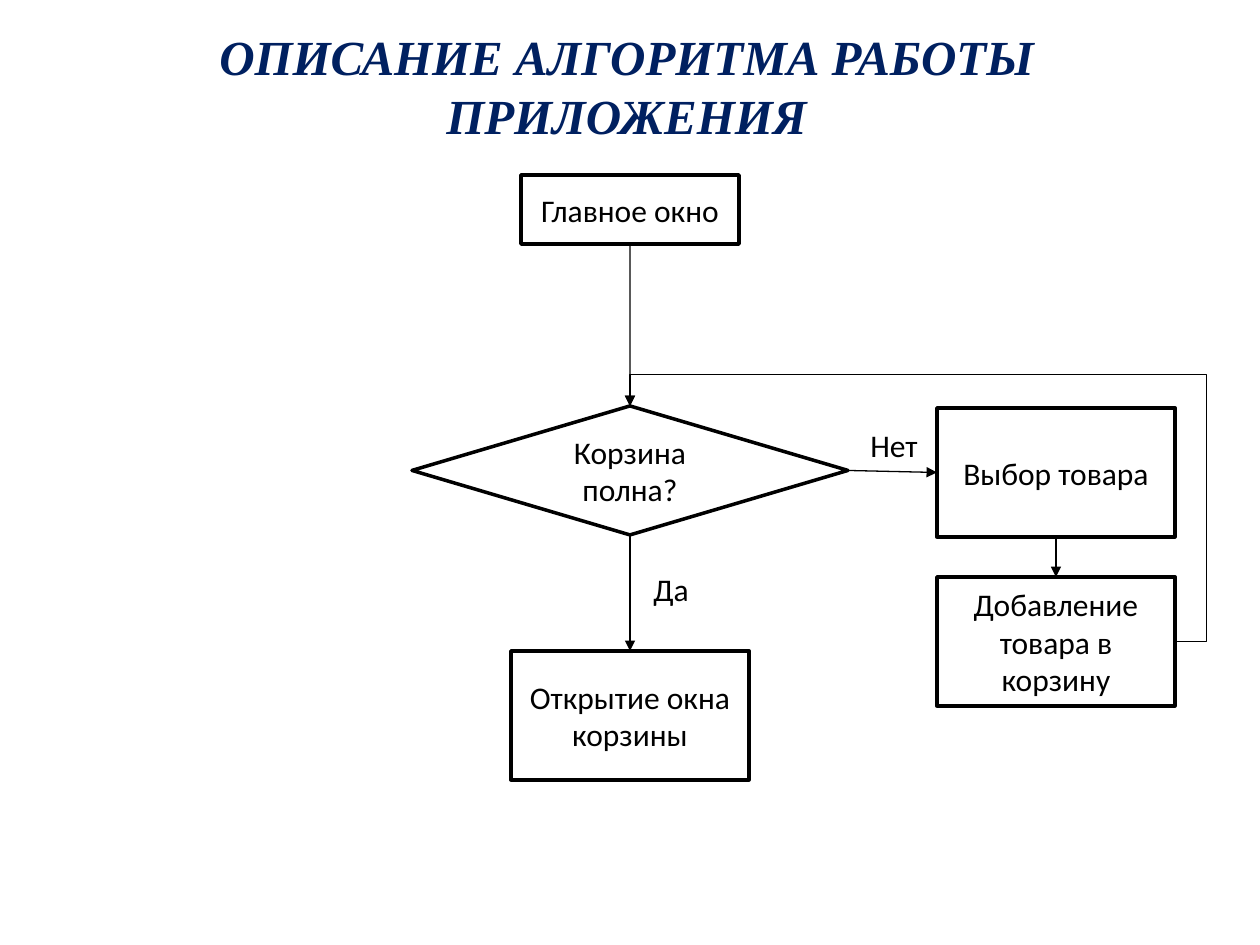
from lxml import etree
from pptx import Presentation
from pptx import util as u
from pptx.dml.color import RGBColor
from pptx.enum import shapes, text
from pptx.oxml.ns import qn

SCALE = 914400 / 126
COLORS = {"title": "002060", "ink": "000000", "paper": "FFFFFF"}


def px(*lengths):
    return [u.Emu(round(length * SCALE)) for length in lengths]


def write(frame, words, color="ink", size=18, font="Calibri", align=text.PP_ALIGN.CENTER):
    para = frame.paragraphs[0]
    para.alignment = align
    span = para.add_run()
    span.text = words
    span.font.size = u.Pt(size)
    span.font.name = font
    span.font.color.rgb = RGBColor.from_string(COLORS[color])
    return span


deck = Presentation()
deck.slide_width, deck.slide_height = px(1260, 945)
page = deck.slides.add_slide(deck.slide_layouts[5])

title = page.shapes.title
title.left, title.top, title.width, title.height = px(35, 16, 1183, 139)
title.text_frame.vertical_anchor = text.MSO_ANCHOR.MIDDLE
span = write(title.text_frame, "ОПИСАНИЕ АЛГОРИТМА РАБОТЫ ПРИЛОЖЕНИЯ", "title", 28, "Times New Roman")
span.font.bold = True
span.font.italic = True

RECT = shapes.MSO_SHAPE.RECTANGLE
DIAMOND = shapes.MSO_SHAPE.DIAMOND
steps = [
    ("main", RECT, 630, 175, 218, 69, "Главное окно"),
    ("full", DIAMOND, 630, 406, 436, 129, "Корзина полна?"),
    ("choose", RECT, 1056, 408, 238, 129, "Выбор товара"),
    ("add", RECT, 1056, 577, 238, 129, "Добавление товара в корзину"),
    ("open", RECT, 630, 651, 238, 129, "Открытие окна корзины"),
]
boxes = {}
for name, kind, center, top, width, height, words in steps:
    box = page.shapes.add_shape(kind, *px(center - width / 2, top, width, height))
    box.shadow.inherit = False
    box.fill.solid()
    box.fill.fore_color.rgb = RGBColor.from_string(COLORS["paper"])
    box.line.color.rgb = RGBColor.from_string(COLORS["ink"])
    box.line.width = u.Pt(2)
    box.text_frame.word_wrap = True
    box.text_frame.vertical_anchor = text.MSO_ANCHOR.MIDDLE
    write(box.text_frame, words)
    boxes[name] = box

STRAIGHT = shapes.MSO_CONNECTOR.STRAIGHT
ELBOW = shapes.MSO_CONNECTOR.ELBOW
flows = [
    (STRAIGHT, "main", 2, "full", 0),
    (STRAIGHT, "full", 3, "choose", 1),
    (STRAIGHT, "choose", 2, "add", 0),
    (STRAIGHT, "full", 2, "open", 0),
    (ELBOW, "add", 3, "full", 0),
]
for kind, source, start, target, end in flows:
    arrow = page.shapes.add_connector(kind, 0, 0, 0, 0)
    arrow.begin_connect(boxes[source], start)
    arrow.end_connect(boxes[target], end)
    arrow.line.color.rgb = RGBColor.from_string(COLORS["ink"])
    arrow.line.width = u.Pt(0.75)
    etree.SubElement(arrow.line._get_or_add_ln(), qn("a:tailEnd"), type="triangle")
    properties = arrow._element.spPr
    etree.SubElement(properties, qn("a:effectLst"))
    if kind == ELBOW:
        geometry = properties.find(qn("a:prstGeom"))
        geometry.set("prst", "bentConnector4")
        guides = geometry.get_or_add_avLst()
        for guide, value in (("adj1", -5800), ("adj2", 113400)):
            etree.SubElement(guides, qn("a:gd"), name=guide, fmla=f"val {value}")

for left, top, width, words in [(858, 420, 73, "Нет"), (641, 564, 62, "Да")]:
    label = page.shapes.add_textbox(*px(left, top, width, 50))
    label.text_frame.word_wrap = False
    label.text_frame.auto_size = text.MSO_AUTO_SIZE.SHAPE_TO_FIT_TEXT
    write(label.text_frame, words, align=text.PP_ALIGN.LEFT)

deck.save("out.pptx")
